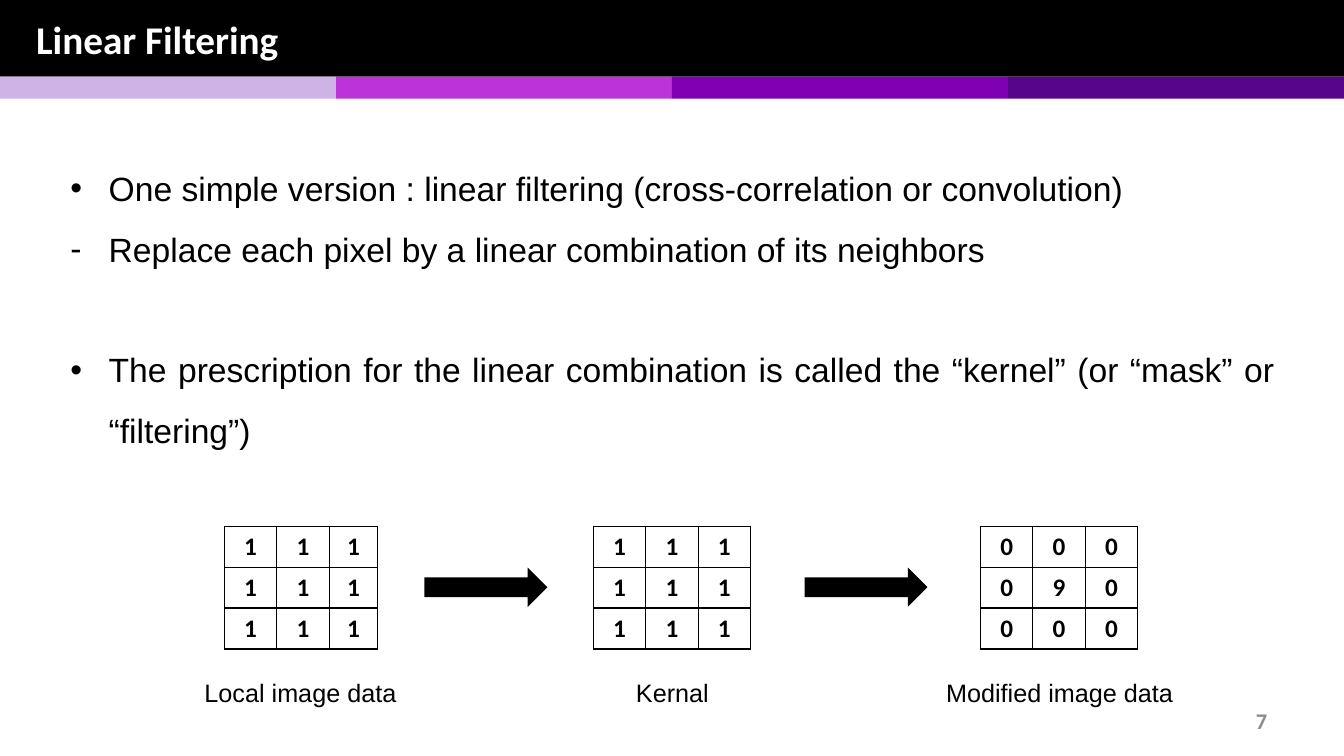
from dataclasses import dataclass

from lxml.etree import SubElement as Sub
from pptx import Presentation
from pptx.dml.color import RGBColor as Rgb
from pptx.enum.shapes import MSO_SHAPE as Shape
from pptx.enum.text import MSO_ANCHOR as Anchor, PP_ALIGN as Align
from pptx.oxml import parse_xml
from pptx.oxml.ns import nsdecls, qn
from pptx.util import Inches, Pt

BLACK = Rgb(0x00, 0x00, 0x00)
WHITE = Rgb(0xFF, 0xFF, 0xFF)
GREY = Rgb(0x8C, 0x8C, 0x8C)
STRIPES = [Rgb(0xCF, 0xB3, 0xE6), Rgb(0xBD, 0x33, 0xDA),
           Rgb(0x80, 0x00, 0xB3), Rgb(0x57, 0x05, 0x8A)]

HEAD = {"name": "Calibri", "size": Pt(28), "bold": True, "color": WHITE}
BODY = {"name": "Arial", "size": Pt(24), "color": BLACK}
LABEL = BODY | {"size": Pt(18)}
DIGIT = HEAD | {"size": Pt(18), "color": BLACK}
PAGE = HEAD | {"size": Pt(16), "color": GREY}


@dataclass
class Box:
    """Place and size in percent of the slide's width and height."""
    x: float
    y: float
    w: float
    h: float

    def emu(self) -> list[int]:
        return [across(self.x), down(self.y), across(self.w), down(self.h)]


@dataclass
class Point:
    mark: str
    text: str
    gap: int = 0


@dataclass
class Grid:
    x: float
    cols: list[float]
    rows: list[str]
    label: str
    left: float


POINTS = [
    Point("•", "One simple version : linear filtering (cross-correlation or convolution)"),
    Point("-", "Replace each pixel by a linear combination of its neighbors"),
    Point("•", "The prescription for the linear combination is called the "
               "“kernel” (or “mask” or “filtering”)", 43),
]
EVEN = [3.9] * 3
GRIDS = [
    Grid(16.7, [3.9, 3.9, 3.6], ["111"] * 3, "Local image data", 11.55),
    Grid(44.15, EVEN, ["111"] * 3, "Kernal", 39.23),
    Grid(72.95, EVEN, ["000", "090", "000"], "Modified image data", 68.04),
]
ARROWS = [31.58, 59.86]
BAR = 10.13
TOP, ROW = 69.6, 5.42

deck = Presentation()
deck.slide_width, deck.slide_height = Inches(13.33), Inches(7.5)
slide = deck.slides.add_slide(deck.slide_layouts[6])


def across(share: float) -> int:
    return int(deck.slide_width * share / 100)


def down(share: float) -> int:
    return int(deck.slide_height * share / 100)


def write(para, text: str, style: dict, align=Align.LEFT) -> None:
    para.alignment = align
    run = para.add_run()
    run.text = text
    for key, val in style.items():
        if key == "color":
            run.font.color.rgb = val
        else:
            setattr(run.font, key, val)


def block(kind, box: Box, fill: Rgb) -> None:
    shape = slide.shapes.add_shape(kind, *box.emu())
    shape.shadow.inherit = False
    shape.fill.solid()
    shape.fill.fore_color.rgb = fill
    shape.line.fill.background()


def frame(box: Box, anchor=Anchor.TOP):
    text = slide.shapes.add_textbox(*box.emu()).text_frame
    text.word_wrap = True
    text.vertical_anchor = anchor
    return text


def bullet(para, mark: str) -> None:
    props = para._p.get_or_add_pPr()
    props.set("marL", str(Inches(0.38)))
    props.set("indent", str(-Inches(0.38)))
    Sub(props, qn("a:buFont"), typeface="Arial")
    Sub(props, qn("a:buChar"), char=mark)


def edge(cell) -> None:
    props = cell._tc.get_or_add_tcPr()
    for spot, side in enumerate("LRTB"):
        props.insert(spot, parse_xml(
            f'<a:ln{side} {nsdecls("a")} w="{Pt(1)}"><a:solidFill>'
            f'<a:srgbClr val="{BLACK}"/></a:solidFill></a:ln{side}>'))


def matrix(grid: Grid) -> None:
    box = Box(grid.x, TOP, sum(grid.cols), ROW * 3)
    table = slide.shapes.add_table(3, 3, *box.emu()).table
    table.first_row = table.horz_banding = False
    for col, wide in zip(table.columns, grid.cols):
        col.width = across(wide)
    for r, row in enumerate(grid.rows):
        table.rows[r].height = down(ROW)
        for c, digit in enumerate(row):
            cell = table.cell(r, c)
            cell.fill.background()
            edge(cell)
            write(cell.text_frame.paragraphs[0], digit, DIGIT, Align.CENTER)


# Header bar, stripes and page number
block(Shape.RECTANGLE, Box(0, 0, 100, BAR), BLACK)
for i, tint in enumerate(STRIPES):
    block(Shape.RECTANGLE, Box(25 * i, BAR, 25, 2.93), tint)
page = frame(Box(71.7, 92.67, 23.33, 5.33), Anchor.MIDDLE)
write(page.paragraphs[0], "7", PAGE, Align.RIGHT)
title = frame(Box(1.95, 0.13, 96.15, 10), Anchor.MIDDLE)
write(title.paragraphs[0], "Linear Filtering", HEAD)

# Bullet points
body = frame(Box(4.5, 18.93, 91.05, 41.73))
for i, point in enumerate(POINTS):
    para = body.add_paragraph() if i else body.paragraphs[0]
    bullet(para, point.mark)
    para.line_spacing = 1.5
    if point.gap:
        para.space_before = Pt(point.gap)
    write(para, point.text, BODY, Align.JUSTIFY)

# Matrices with captions
for grid in GRIDS:
    matrix(grid)
    para = frame(Box(grid.left, 86.93, 21.6, 6.67)).paragraphs[0]
    para.line_spacing = 1.5
    write(para, grid.label, LABEL, Align.CENTER)

# Arrows between the matrices
for x in ARROWS:
    block(Shape.RIGHT_ARROW, Box(x, 75.07, 9.15, 5.2), BLACK)

deck.save("out.pptx")
